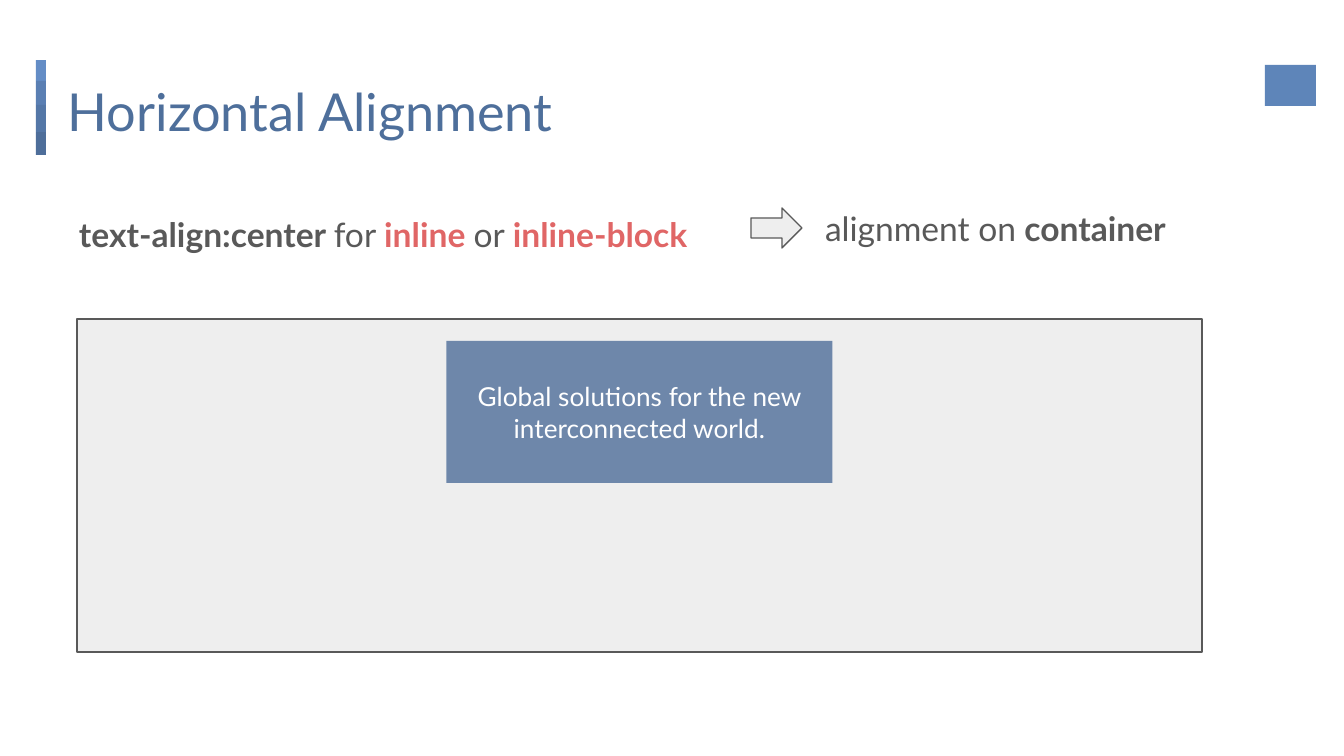
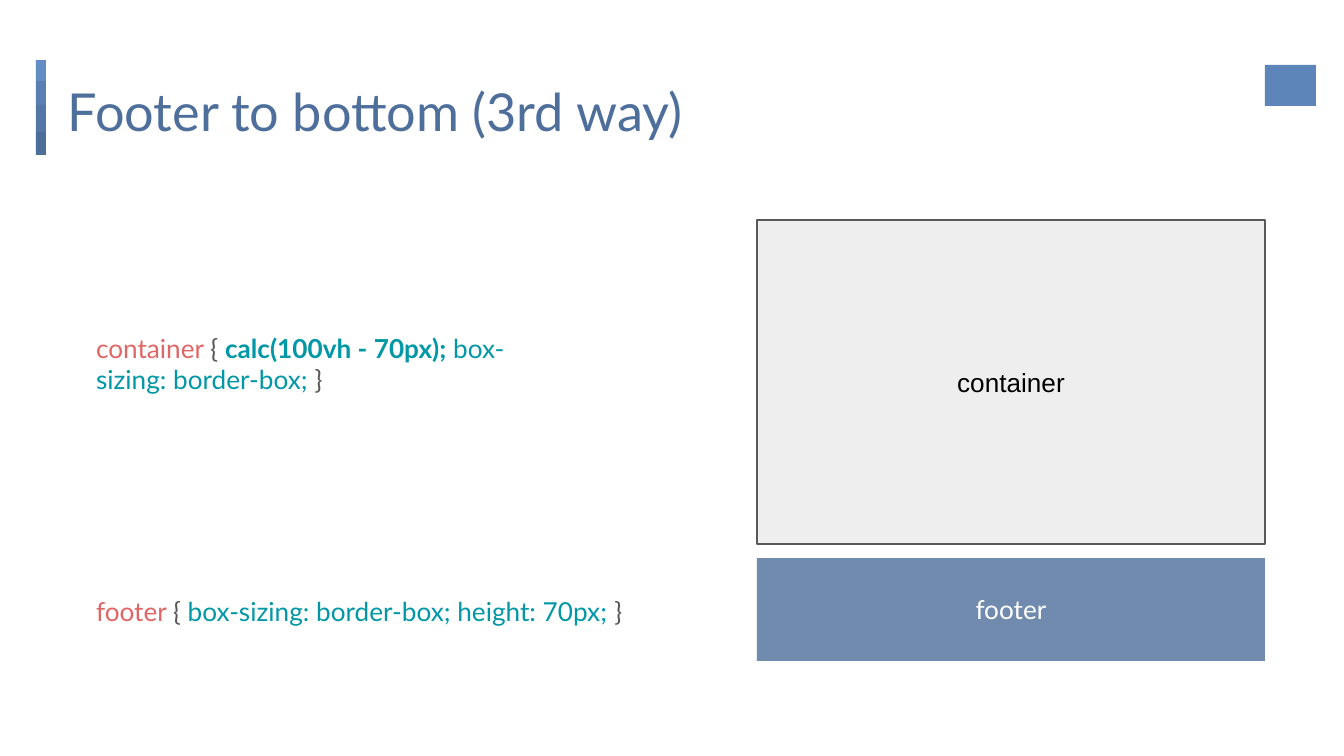
from lxml import etree
from pptx import Presentation
from pptx.dml.color import RGBColor
from pptx.enum.shapes import MSO_SHAPE
from pptx.enum.text import MSO_ANCHOR, MSO_AUTO_SIZE, PP_ALIGN
from pptx.oxml.ns import qn
from pptx.util import Emu, Pt

RECTANGLE, ARROW = MSO_SHAPE.RECTANGLE, MSO_SHAPE.RIGHT_ARROW
TOP, MIDDLE = MSO_ANCHOR.TOP, MSO_ANCHOR.MIDDLE
LEFT, CENTER = PP_ALIGN.LEFT, PP_ALIGN.CENTER
NO_FIT = MSO_AUTO_SIZE.NONE

WHITE = RGBColor(0xFF, 0xFF, 0xFF)
BLACK = RGBColor(0x00, 0x00, 0x00)
GRAY = RGBColor(0x59, 0x59, 0x59)
PALE = RGBColor(0xEE, 0xEE, 0xEE)
RED = RGBColor(0xE0, 0x66, 0x66)
TEAL = RGBColor(0x00, 0x97, 0xA7)
TITLE_BLUE = RGBColor(0x4E, 0x6F, 0x9B)
DEEP_BLUE = RGBColor(0x4E, 0x6E, 0x9A)
MARK_BLUE = RGBColor(0x5E, 0x85, 0xB9)

SCALE = 914400 / 134.4
PAGE_SIZE = (1344, 756)
INSET = 13
TITLE_AREA = (55, 66, 1243, 85)
MARK_AREA = (1265, 65, 51, 41)
BAR_LEFT, BAR_TOP, BAR_WIDTH = 36, 60, 10
BAR_SEGMENTS = [
    (21, RGBColor(0x64, 0x8D, 0xC6)),
    (24, RGBColor(0x5A, 0x7F, 0xB3)),
    (27, RGBColor(0x54, 0x77, 0xA7)),
    (23, DEEP_BLUE),
]

OUTLINED = {"fill": PALE, "line": GRAY}
TINTED = {"fill": DEEP_BLUE, "alpha": 80}

ALIGN_TITLE = "Horizontal Alignment"
ALIGN_RULE = [
    ("text-align:center ", GRAY, True),
    ("for ", GRAY, False),
    ("inline ", RED, True),
    ("or ", GRAY, False),
    ("inline-block", RED, True),
]
ALIGN_TARGET = [("alignment on", GRAY, False), (" container", GRAY, True)]
ALIGN_SAMPLE = [("Global solutions for the new interconnected world.", WHITE, False)]

FOOTER_TITLE = "Footer to bottom (3rd way)"
CONTAINER_RULE = [
    ("container ", RED, False),
    ("{ ", GRAY, False),
    ("calc(100vh - 70px); ", TEAL, True),
    ("box-sizing: border-box; ", TEAL, False),
    ("}", GRAY, False),
]
FOOTER_RULE = [
    ("footer ", RED, False),
    ("{ ", GRAY, False),
    ("box-sizing: border-box; height: 70px; ", TEAL, False),
    ("}", GRAY, False),
]


def px(length):
    return Emu(round(length * SCALE))


def set_all(target, values):
    for name, value in values.items():
        setattr(target, name, value)


def place(shape, area):
    set_all(shape, dict(zip(("left", "top", "width", "height"), map(px, area))))


def write(shape, spans, size, font="Lato", align=LEFT, anchor=TOP, spacing=1.0, after=0):
    frame = shape.text_frame
    margins = dict.fromkeys(
        ("margin_left", "margin_top", "margin_right", "margin_bottom"), px(INSET))
    set_all(frame, {"word_wrap": True, "auto_size": NO_FIT,
                    "vertical_anchor": anchor, **margins})
    para = frame.paragraphs[0]
    set_all(para, {"alignment": align, "line_spacing": spacing,
                   "space_before": Pt(0), "space_after": Pt(after)})
    for text, color, bold in spans:
        span = para.add_run()
        span.text = text
        set_all(span.font, {"name": font, "size": Pt(size), "bold": bold})
        span.font.color.rgb = color
    return para


def add_box(page, area, fill, line=None, alpha=None, kind=RECTANGLE):
    box = page.shapes.add_shape(kind, *map(px, area))
    box.shadow.inherit = False
    box.fill.solid()
    box.fill.fore_color.rgb = fill
    if alpha:
        color = box.fill._xPr.find(qn("a:solidFill"))[0]
        etree.SubElement(color, qn("a:alpha")).set("val", str(alpha * 1000))
    if line:
        box.line.color.rgb = line
        box.line.width = Pt(0.75)
    else:
        box.line.fill.background()
    return box


def add_label(box, spans, font="Lato"):
    write(box, spans, 14, font, CENTER, MIDDLE)


def fill_body(page, index, area, spans, size, spacing=1.0, after=0):
    body = page.placeholders[index]
    place(body, area)
    para = write(body, spans, size, spacing=spacing, after=after)
    properties = para._p.get_or_add_pPr()
    properties.set("marL", "0")
    properties.set("indent", "0")
    etree.SubElement(properties, qn("a:buNone"))


def add_page(deck, title):
    page = deck.slides.add_slide(deck.slide_layouts.get_by_name("Two Content"))
    top = BAR_TOP
    for height, color in BAR_SEGMENTS:
        add_box(page, (BAR_LEFT, top, BAR_WIDTH, height), color)
        top += height
    add_box(page, MARK_AREA, MARK_BLUE)
    place(page.shapes.title, TITLE_AREA)
    write(page.shapes.title, [(title, TITLE_BLUE, False)], 28)
    return page


def add_alignment_page(deck):
    page = add_page(deck, ALIGN_TITLE)
    fill_body(page, 1, (66, 195, 770, 58), ALIGN_RULE, 18, 1.15, 16)
    fill_body(page, 2, (812, 195, 445, 58), ALIGN_TARGET, 18)
    add_box(page, (751, 208, 51, 40), kind=ARROW, **OUTLINED)
    left, top, width, height = container = (77, 319, 1125, 333)
    add_box(page, container, **OUTLINED)
    sample_width = 386
    sample = (left + (width - sample_width) / 2, top + 22, sample_width, 142)
    add_label(add_box(page, sample, **TINTED), ALIGN_SAMPLE)


def add_footer_page(deck):
    page = add_page(deck, FOOTER_TITLE)
    fill_body(page, 1, (83, 319, 501, 126), CONTAINER_RULE, 14, after=16)
    fill_body(page, 2, (83, 578, 656, 62), FOOTER_RULE, 14, 1.15, 16)
    left, top, width, height = container = (757, 220, 508, 324)
    add_label(add_box(page, container, **OUTLINED),
              [("container", BLACK, False)], "Arial")
    footer = (left, top + height + 14, width, 103)
    add_label(add_box(page, footer, **TINTED), [("footer", WHITE, False)])


def main():
    deck = Presentation()
    deck.slide_width, deck.slide_height = map(px, PAGE_SIZE)
    add_alignment_page(deck)
    add_footer_page(deck)
    deck.save("out.pptx")


if __name__ == "__main__":
    main()
